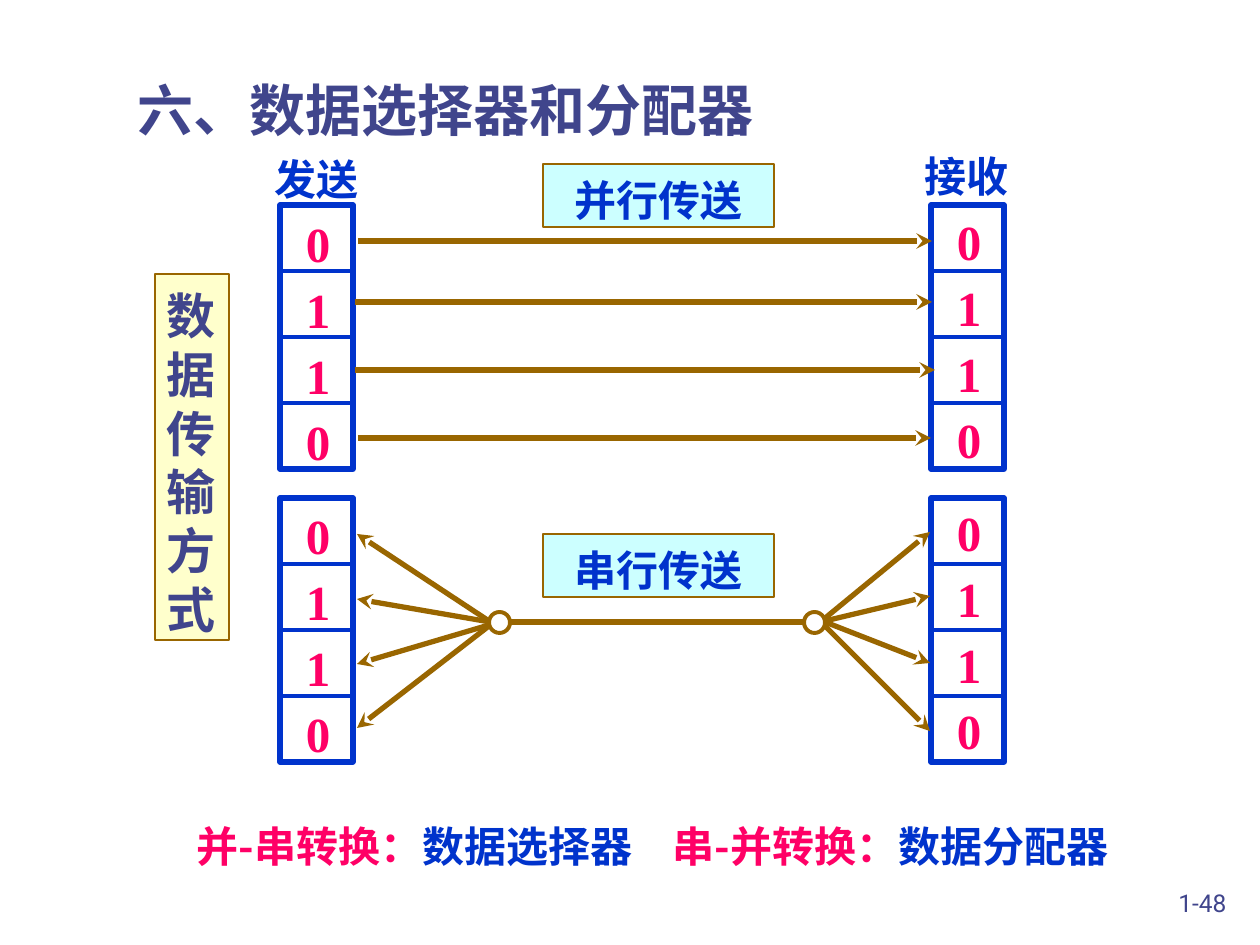
from lxml.etree import SubElement
from pptx import Presentation
from pptx.dml.color import RGBColor
from pptx.enum.shapes import MSO_CONNECTOR, MSO_SHAPE
from pptx.enum.text import MSO_ANCHOR, PP_ALIGN
from pptx.oxml.ns import qn
from pptx.util import Emu, Pt

EMU_PER_PX = 914400 / 126
CJK = "Noto Sans CJK SC"
SERIF = "Times New Roman"
INDIGO, BLUE, PINK, BROWN = "40458C", "0033CC", "FF0066", "996600"
CYAN, YELLOW = "CCFFFF", "FFFFCC"

BITS = "0110"
CELL_HEIGHT, REGISTER_WIDTH = 66, 73
SEND_LEFT, RECEIVE_LEFT = 280, 931
PARALLEL_TOP, SERIAL_TOP = 205, 498


def px(length):
    return Emu(round(length * EMU_PER_PX))


def color(value):
    return RGBColor.from_string(value)


def style_run(run, size, font_name, hex_color, bold=True):
    font = run.font
    font.size, font.name, font.bold = Pt(size), font_name, bold
    font.color.rgb = color(hex_color)
    # East Asian characters have their own typeface slot
    SubElement(run._r.get_or_add_rPr(), qn("a:ea"), typeface=CJK)


def fill_text(shape, lines, size, hex_colors, font_name=CJK, inset=(13, 6),
              align=PP_ALIGN.LEFT, drop=True):
    """Write lines; each line is a list of runs, coloured in turn."""
    text_frame = shape.text_frame
    text_frame.word_wrap = True
    text_frame.vertical_anchor = MSO_ANCHOR.TOP
    text_frame.margin_left = text_frame.margin_right = px(inset[0])
    # CJK glyphs sit high in exact line spacing, so lower them a little
    text_frame.margin_top = px(inset[1] + (size * 0.2 if drop else 0))
    text_frame.margin_bottom = px(inset[1])
    for index, line in enumerate(lines):
        paragraph = text_frame.add_paragraph() if index else text_frame.paragraphs[0]
        paragraph.alignment = align
        paragraph.line_spacing = Pt(size * 1.2)
        for words, hex_color in zip(line, hex_colors):
            run = paragraph.add_run()
            run.text = words
            style_run(run, size, font_name, hex_color)


def add_text(slide, left, top, width, height, runs, size, hex_colors, **options):
    box = slide.shapes.add_textbox(px(left), px(top), px(width), px(height))
    fill_text(box, [runs], size, hex_colors, **options)


def add_outline(slide, kind, left, top, width, height, line_color, line_width,
                fill_color=None):
    shape = slide.shapes.add_shape(kind, px(left), px(top), px(width), px(height))
    shape.shadow.inherit = False
    if fill_color:
        shape.fill.solid()
        shape.fill.fore_color.rgb = color(fill_color)
    else:
        shape.fill.background()
    shape.line.color.rgb = color(line_color)
    shape.line.width = Pt(line_width)
    return shape


def add_line(slide, start, end, hex_color=BROWN, width=3, arrow=False):
    connector = slide.shapes.add_connector(
        MSO_CONNECTOR.STRAIGHT, px(start[0]), px(start[1]), px(end[0]), px(end[1]))
    connector.line.color.rgb = color(hex_color)
    connector.line.width = Pt(width)
    if arrow:
        SubElement(connector.line._get_or_add_ln(), qn("a:tailEnd"), type="stealth")
    SubElement(connector._element.spPr, qn("a:effectLst"))


def add_register(slide, left, top, digit_offset):
    """A column of four cells with one bit in each."""
    add_outline(slide, MSO_SHAPE.RECTANGLE, left, top, REGISTER_WIDTH,
                CELL_HEIGHT * len(BITS), BLUE, 3)
    for index, bit in enumerate(BITS):
        cell_top = top + index * CELL_HEIGHT
        if index:
            add_line(slide, (left, cell_top), (left + REGISTER_WIDTH, cell_top),
                     BLUE, 2.25)
        add_text(slide, left + 26, cell_top + digit_offset, 26, 59, [bit], 28,
                 [PINK], font_name=SERIF, inset=(0, 0), drop=False)


def add_mode_label(slide, top, words):
    label = add_outline(slide, MSO_SHAPE.RECTANGLE, 543, top, 231, 63,
                        BROWN, 0.75, CYAN)
    fill_text(label, [[words]], 24, [BLUE], align=PP_ALIGN.CENTER)


def add_page_number(slide, words):
    box = slide.shapes.add_textbox(px(977), px(861), px(262), px(63))
    text_frame = box.text_frame
    text_frame.word_wrap = True
    text_frame.vertical_anchor = MSO_ANCHOR.BOTTOM
    text_frame.text = words
    paragraph = text_frame.paragraphs[0]
    paragraph.alignment = PP_ALIGN.RIGHT
    style_run(paragraph.runs[0], 14, "Roboto", INDIGO, bold=False)


def add_parallel_part(slide):
    for left, top, words in ((275, 149, "发送"), (925, 146, "接收")):
        add_text(slide, left, top, 90, 50, [words], 24, [BLUE],
                 font_name=SERIF, inset=(0, 0))
    add_register(slide, SEND_LEFT, PARALLEL_TOP, 9)
    add_register(slide, RECEIVE_LEFT, PARALLEL_TOP, 7)
    for start, end, y in ((358, 932, 241), (355, 932, 302),
                          (355, 935, 370), (358, 931, 438)):
        add_line(slide, (start, y), (end, y), arrow=True)
    add_mode_label(slide, 164, "并行传送")


def add_serial_part(slide):
    add_register(slide, SEND_LEFT, SERIAL_TOP, 8)
    add_register(slide, RECEIVE_LEFT, SERIAL_TOP, 5)
    # Two switch contacts joined by one wire
    for left in (489, 804):
        add_outline(slide, MSO_SHAPE.OVAL, left, 612, 21, 21, BROWN, 2.25)
    add_line(slide, (510, 622), (804, 622))
    # Arrows from each contact to the four cells
    send_arrows = ((489, 621, 534), (490, 622, 599), (489, 625, 664), (489, 626, 728))
    receive_arrows = ((824, 619, 532), (825, 621, 596), (825, 622, 663), (824, 625, 731))
    for tip_x, arrows in ((357, send_arrows), (930, receive_arrows)):
        for x, y, tip_y in arrows:
            add_line(slide, (x, y), (tip_x, tip_y), arrow=True)
    add_mode_label(slide, 534, "串行传送")


def main():
    presentation = Presentation()
    presentation.slide_width, presentation.slide_height = px(1260), px(945)
    slide = presentation.slides.add_slide(presentation.slide_layouts[6])

    # Title and side heading
    add_text(slide, 124, 63, 1030, 132, ["六、数据选择器和分配器"], 32, [INDIGO],
             font_name=SERIF)
    heading = add_outline(slide, MSO_SHAPE.RECTANGLE, 155, 274, 74, 366,
                          BROWN, 0.75, YELLOW)
    fill_text(heading, [[character] for character in "数据传输方式"], 28, [INDIGO],
              inset=(12, 6))

    add_parallel_part(slide)
    add_serial_part(slide)

    # Captions and page number
    for left, width, runs in ((184, 507, ["并-串转换：", "数据选择器"]),
                              (660, 553, ["串-并转换：", "数据分配器"])):
        add_text(slide, left, 810, width, 63, runs, 24, [PINK, BLUE])
    add_page_number(slide, "1-48")

    presentation.save("out.pptx")


if __name__ == "__main__":
    main()
